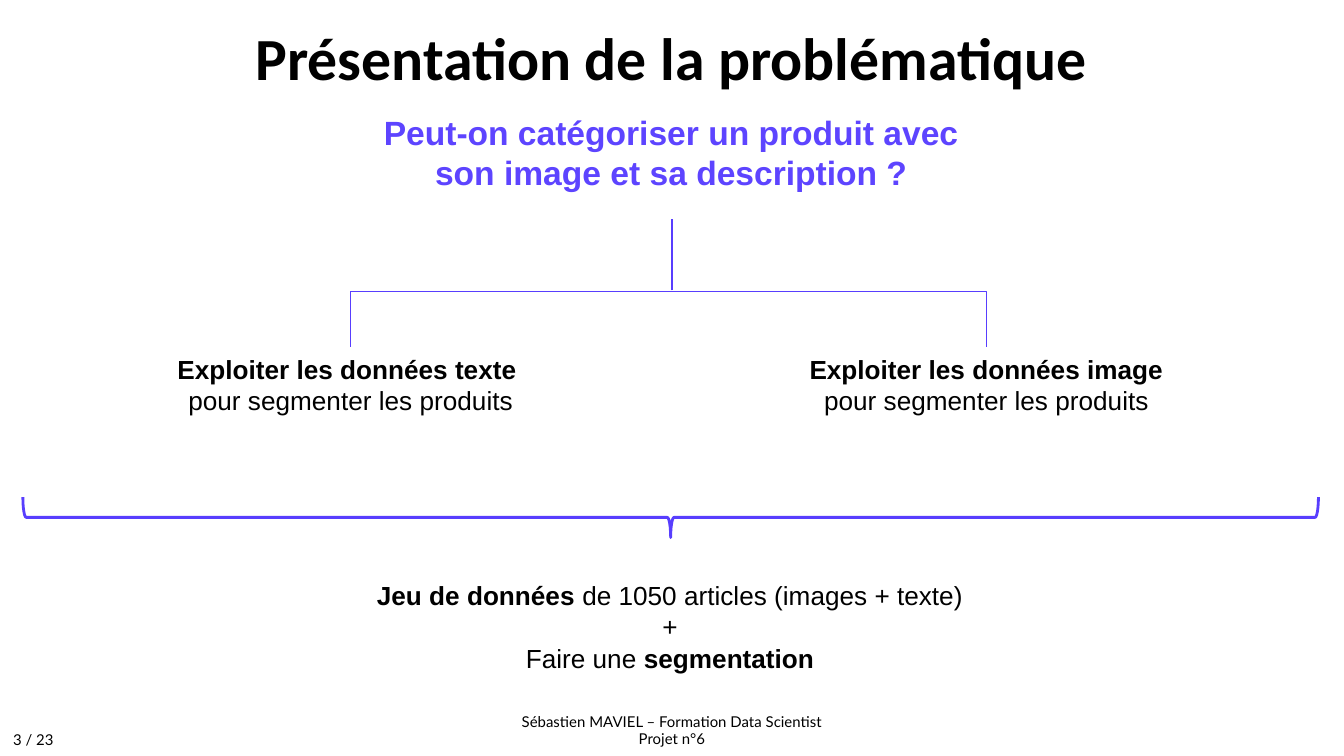
from lxml import etree
from pptx import Presentation
from pptx import util as u
from pptx.dml.color import RGBColor
from pptx.enum import shapes, text
from pptx.oxml.ns import qn

BLACK = RGBColor(0x00, 0x00, 0x00)
QUESTION = RGBColor(0x5D, 0x44, 0xFF)
LINE = RGBColor(0x58, 0x3E, 0xFE)
WHITE = RGBColor(0xFF, 0xFF, 0xFF)

BODY = {"name": "Arial", "size": u.Pt(14)}
HEADING = {"name": "Calibri", "size": u.Pt(32)}
QUESTION_FONT = {"name": "Arial", "size": u.Pt(18)}
SMALL = {"name": "Lato", "size": u.Pt(8)}
CENTER = text.PP_ALIGN.CENTER
SLIDE_WIDTH = 10


def add_text(slide, box, paragraphs, font, color=BLACK, align=CENTER, inset=0.05, spacing=None):
    shape = slide.shapes.add_textbox(*map(u.Inches, box))
    frame = shape.text_frame
    settings = {
        "word_wrap": True,
        "vertical_anchor": text.MSO_ANCHOR.TOP,
        "margin_top": u.Inches(inset),
        "margin_bottom": u.Inches(inset),
    }
    for name, value in settings.items():
        setattr(frame, name, value)
    for index, runs in enumerate(paragraphs):
        paragraph = frame.add_paragraph() if index else frame.paragraphs[0]
        paragraph.alignment = align
        paragraph.line_spacing = spacing
        for words, bold in runs:
            run = paragraph.add_run()
            run.text = words
            for name, value in {**font, "bold": bold}.items():
                setattr(run.font, name, value)
            run.font.color.rgb = color


def add_line(slide, start, end, bent=False):
    kind = shapes.MSO_CONNECTOR.ELBOW if bent else shapes.MSO_CONNECTOR.STRAIGHT
    connector = slide.shapes.add_connector(kind, *map(u.Inches, (*start, *end)))
    connector.line.color.rgb = LINE
    connector.line.width = u.Pt(0.75)
    properties = connector._element.spPr
    if bent:
        properties.find(qn("a:prstGeom")).set("prst", "bentConnector2")
    etree.SubElement(properties, qn("a:effectLst"))


def add_header(slide, box):
    left, top, width, height = box
    add_text(slide, (left, top, width, 0.63), [[("Présentation de la problématique", True)]],
             HEADING, inset=0.1, spacing=0.8)
    question_width = 4.87
    add_text(slide, (left + (width - question_width) / 2, top + 0.62, question_width, height - 0.62),
             [[("Peut-on catégoriser un produit avec son image et sa description ?", True)]],
             QUESTION_FONT, QUESTION)


def add_branches(slide, box):
    left, top, width, height = box
    text_width, text_height = 2.9, 0.57
    text_top = top + height - text_height
    middle = SLIDE_WIDTH / 2
    fork = (middle, top + 0.54)
    add_line(slide, (middle, top + 0.53), (middle, top))
    branches = [
        (left, "Exploiter les données texte "),
        (left + width - text_width, "Exploiter les données image"),
    ]
    for text_left, heading in branches:
        add_line(slide, fork, (text_left + text_width / 2, text_top), bent=True)
        add_text(slide, (text_left, text_top, text_width, text_height),
                 [[(heading, True), (" pour segmenter les produits", False)]], BODY)


def add_brace(slide, box):
    left, top, width, height = box
    brace = slide.shapes.add_shape(
        shapes.MSO_SHAPE.RIGHT_BRACE,
        u.Inches(left + (width - height) / 2), u.Inches(top + (height - width) / 2),
        u.Inches(height), u.Inches(width))
    brace.rotation = 90
    brace.shadow.inherit = False
    brace.fill.background()
    brace.line.color.rgb = LINE
    brace.line.width = u.Pt(1.5)


def add_conclusion(slide, box):
    add_text(slide, box, [
        [("Jeu de données ", True), ("de 1050 articles (images + texte)", False)],
        [("+", False)],
        [("Faire une ", False), ("segmentation", True)],
    ], BODY)


def add_footer(slide, box):
    left, top, width, height = box
    credit_width = 3.58
    add_text(slide, (left + (width - credit_width) / 2, top, credit_width, height),
             [[("Sébastien MAVIEL – Formation Data Scientist", False)], [("Projet n°6", False)]], SMALL)
    add_text(slide, (left, top + 0.14, 0.67, 0.24), [[("3 / 23", False)]],
             SMALL, align=text.PP_ALIGN.LEFT)


def main():
    presentation = Presentation()
    presentation.slide_width = u.Inches(SLIDE_WIDTH)
    presentation.slide_height = u.Inches(SLIDE_WIDTH * 9 / 16)
    slide = presentation.slides.add_slide(presentation.slide_layouts[6])
    slide.background.fill.solid()
    slide.background.fill.fore_color.rgb = WHITE
    add_footer(slide, (0, 5.25, SLIDE_WIDTH, 0.37))
    add_header(slide, (0.79, 0.16, 8.41, 1.33))
    add_branches(slide, (1.16, 1.63, 7.63, 1.52))
    add_brace(slide, (0.17, 3.7, 9.64, 0.3))
    add_conclusion(slide, (1.59, 4.26, 6.79, 0.81))
    presentation.save("out.pptx")


if __name__ == "__main__":
    main()
